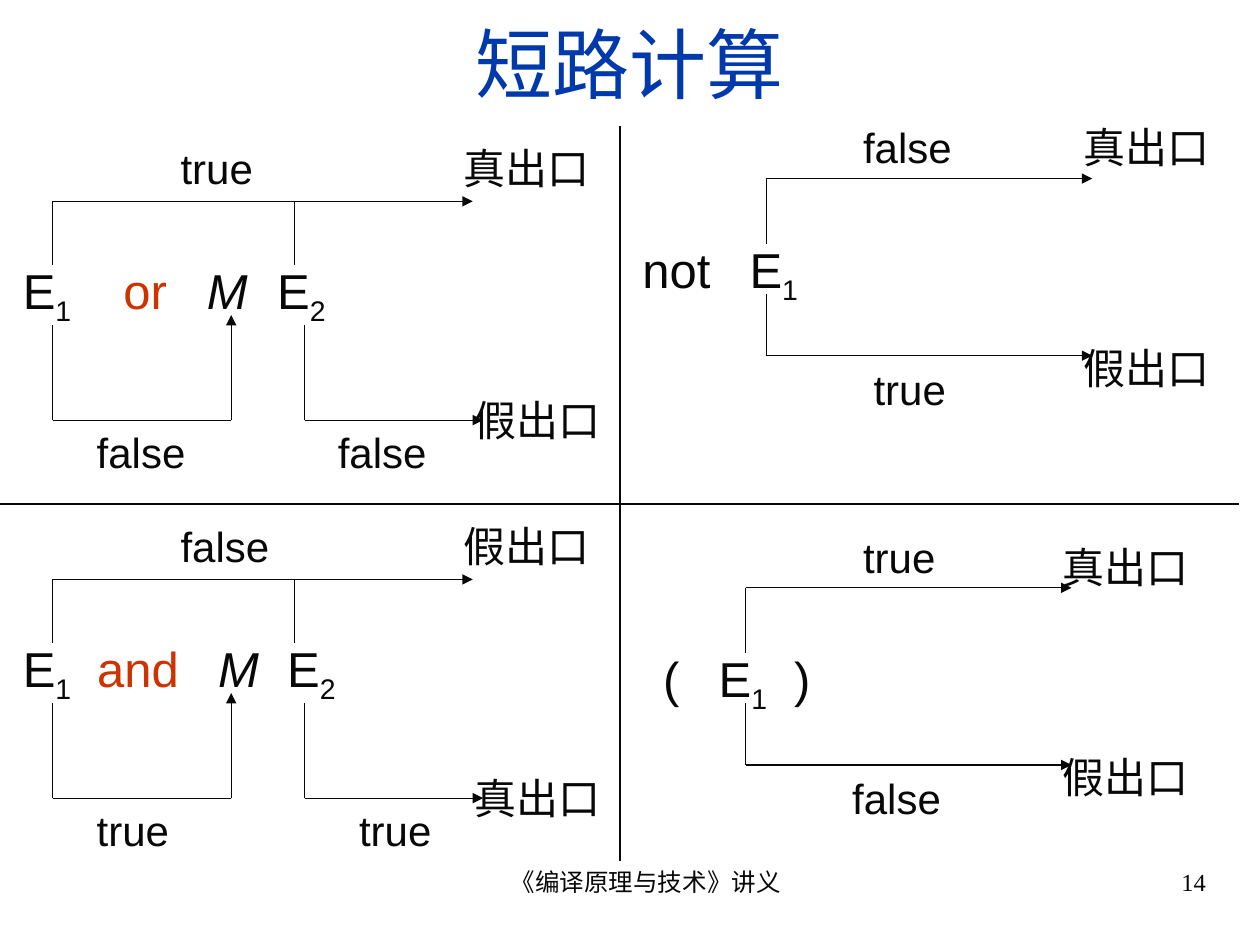
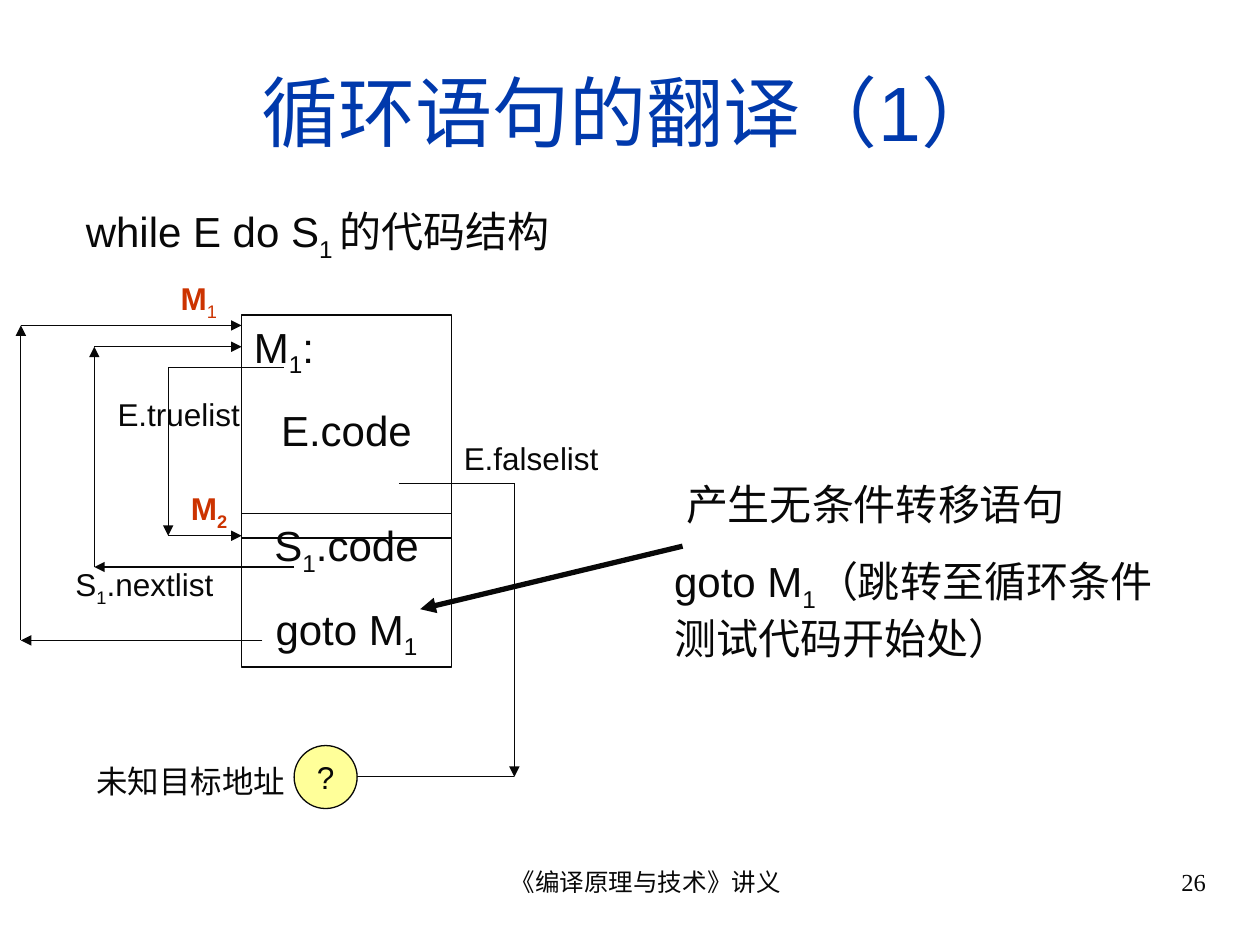
from lxml import etree
from pptx import Presentation
from pptx.dml.color import RGBColor
from pptx.enum.shapes import MSO_CONNECTOR, MSO_SHAPE
from pptx.enum.text import MSO_ANCHOR, PP_ALIGN
from pptx.oxml.ns import qn
from pptx.util import Cm, Pt

LEFT, CENTER, RIGHT = PP_ALIGN.LEFT, PP_ALIGN.CENTER, PP_ALIGN.RIGHT
TOP, MIDDLE = MSO_ANCHOR.TOP, MSO_ANCHOR.MIDDLE
RECT, OVAL = MSO_SHAPE.RECTANGLE, MSO_SHAPE.OVAL
STRAIGHT = MSO_CONNECTOR.STRAIGHT
INK, BLUE, RED, YELLOW = "080808", "0039AC", "CC3300", "FFFF99"
rgb = RGBColor.from_string


# Runs are split by "|": "_" marks a subscript, "*" red text, "/" italics.
def text(s, content, x, y, w, h, size=24, color=INK, font="Arial", bold=None,
         aligns=(LEFT,), anchor=TOP, wrap=True, inset=0.25, tabs=(),
         indent=0, shape=None, fill=None):
    box = Cm(x), Cm(y), Cm(w), Cm(h)
    if shape is None:
        sp = s.shapes.add_textbox(*box)
    else:
        sp = s.shapes.add_shape(shape, *box)
        sp.shadow.inherit = False
        sp.line.color.rgb = rgb(INK)
        sp.line.width = Pt(0.75)
        if fill:
            sp.fill.solid()
            sp.fill.fore_color.rgb = rgb(fill)
        else:
            sp.fill.background()
    tf = sp.text_frame
    tf.word_wrap = wrap
    tf.vertical_anchor = anchor
    tf.margin_left = Cm(inset)
    for i, line_text in enumerate(content.split("\n")):
        p = tf.add_paragraph() if i else tf.paragraphs[0]
        p.alignment = aligns[min(i, len(aligns) - 1)]
        pPr = p._p.get_or_add_pPr()
        if i:
            p.space_before = Pt(15)
        elif indent:
            pPr.set("indent", str(Cm(indent)))
        if tabs:
            tab_list = etree.SubElement(pPr, qn("a:tabLst"))
            for pos in tabs:
                etree.SubElement(tab_list, qn("a:tab"), pos=str(Cm(pos)), algn="l")
        for part in line_text.split("|"):
            mark = part[0] if part[0] in "_*/" else ""
            r = p.add_run()
            r.text = part[len(mark):]
            r.font.name = font
            r.font.size = Pt(size)
            r.font.bold = bold
            r.font.color.rgb = rgb(RED if mark == "*" else color)
            if mark == "/":
                r.font.italic = True
            if mark == "_":
                r._r.get_or_add_rPr().set("baseline", "-25000")
    return tf


def route(s, points, plain=None, width=0.75):
    if plain is None:
        plain = len(points) - 2
    for i, (start, end) in enumerate(zip(points, points[1:])):
        c = s.shapes.add_connector(STRAIGHT, *map(Cm, start + end))
        c.line.color.rgb = rgb(INK)
        c.line.width = Pt(width)
        if i >= plain:
            etree.SubElement(c.line._get_or_add_ln(), qn("a:tailEnd"), type="triangle")
        etree.SubElement(c._element.spPr, qn("a:effectLst"))


prs = Presentation()
prs.slide_width, prs.slide_height = Cm(25.4), Cm(19.05)

slides = []
for title, y, h, number in [("短路计算", 0.2, 2.11, "14"),
                            ("循环语句的翻译（1）", 0.64, 3.18, "26")]:
    s = prs.slides.add_slide(prs.slide_layouts[6])
    text(s, title, 0.84, y, 23.72, h, size=44, color=BLUE, aligns=(CENTER,), anchor=MIDDLE)
    text(s, "《编译原理与技术》讲义", 8.69, 17.35, 8.05, 1.32, size=14,
         font="Times New Roman", aligns=(CENTER,), inset=0.86)
    text(s, number, 18.21, 17.35, 6.35, 1.32, size=14,
         font="Times New Roman", aligns=(RIGHT,))
    slides.append(s)

s = slides[0]
route(s, [(0, 10.16), (24.97, 10.16)], plain=1, width=1.5)
route(s, [(12.5, 2.54), (12.5, 17.35)], plain=1, width=1.5)

binary_rules = [
    (0, "*or", (2.03, 3.71, 5.13), "true", "false", 6.56, "真出口", "假出口"),
    (7.62, "*and", (1.5, 3.94, 5.33), "false", "true", 6.99, "假出口", "真出口"),
]
for dy, operator, tabs, upper, lower, lower_x, upper_exit, lower_exit in binary_rules:
    text(s, f"E|_1|\t|{operator}|\t|/M|\tE|_2", 0.21, 5.13 + dy, 8.68, 1.6, size=28, tabs=tabs)
    route(s, [(1.06, 5.34 + dy), (1.06, 4.06 + dy), (9.53, 4.06 + dy)])
    route(s, [(5.93, 5.34 + dy), (5.93, 4.06 + dy)], plain=1)
    route(s, [(1.06, 6.56 + dy), (1.06, 8.47 + dy), (4.66, 8.47 + dy), (4.66, 6.35 + dy)])
    route(s, [(6.14, 6.56 + dy), (6.14, 8.47 + dy), (9.74, 8.47 + dy)])
    for label, x, y, w in [(upper, 3.39, 2.75, 2.33), (lower, 1.7, 8.47, 2.33),
                           (lower, lower_x, 8.47, 2.33),
                           (upper_exit, 9.1, 2.75, 3.18), (lower_exit, 9.31, 7.83, 3.18)]:
        text(s, label, x, y + dy, w, 1.27)

unary_rules = [
    ("not|\tE|_1", (2.16,), 12.7, 4.7, 15.45, 3.6,
     [("false", 17.15, 2.33), ("true", 17.36, 7.2)],
     [("真出口", 21.59, 2.33), ("假出口", 21.59, 6.77)]),
    ("(|\tE|_1|\t)", (1.12, 2.64), 13.12, 12.95, 15.03, 11.85,
     [("true", 17.15, 10.58), ("false", 16.93, 15.45)],
     [("真出口", 21.17, 10.8), ("假出口", 21.17, 15.03)]),
]
for formula, tabs, x, y, stem_x, top_y, labels, exits in unary_rules:
    text(s, formula, x, y, 8.68, 1.6, size=28, tabs=tabs)
    for near, far in [(1.31, 0), (2.33, 3.57)]:
        route(s, [(stem_x, top_y + near), (stem_x, top_y + far), (stem_x + 6.57, top_y + far)])
    for w, items in [(2.33, labels), (3.18, exits)]:
        for label, label_x, label_y in items:
            text(s, label, label_x, label_y, w, 1.27)

s = slides[1]
text(s, "M|_1|:\nE.code", 4.87, 6.35, 4.23, 4.5, aligns=(LEFT, CENTER), shape=RECT)
text(s, "S|_1|.code\ngoto M|_1", 4.87, 10.35, 4.23, 3.1, aligns=(CENTER,), shape=RECT)
text(s, "while E do S|_1 |的代码结构", 1.48, 4.02, 10.8, 1.42)

route(s, [(5.72, 7.41), (3.39, 7.41), (3.39, 10.8), (4.87, 10.8)], plain=1)
route(s, [(8.04, 9.74), (10.37, 9.74), (10.37, 15.66), (6.99, 15.66)], plain=1)
route(s, [(5.93, 11.43), (1.9, 11.43), (1.9, 6.99), (4.87, 6.99)], plain=0)
route(s, [(5.29, 12.91), (0.42, 12.91), (0.42, 6.56), (4.87, 6.56)], plain=0)
route(s, [(13.76, 11.01), (8.47, 12.28)], width=3)

for label, x, y, w in [("E.truelist", 2.12, 7.83, 3.6), ("E.falselist", 9.1, 8.72, 4.23),
                       ("S|_1|.nextlist", 1.27, 11.26, 3.6),
                       ("未知目标地址", 1.69, 15.24, 4.87)]:
    text(s, label, x, y, w, 1.06, size=18)
text(s, "M|_2", 3.6, 9.74, 1.7, 1.11, size=18, color=RED, bold=True)
tf = text(s, "M|_1", 3.39, 5.5, 1.7, 1.11, size=18, color=RED, bold=True)
tf.paragraphs[0].runs[1].font.bold = False
text(s, "?", 5.93, 15.03, 1.27, 1.27, size=18, aligns=(CENTER,), anchor=MIDDLE,
     wrap=False, shape=OVAL, fill=YELLOW)
text(s, "产生无条件转移语句\ngoto M|_1|（跳转至循环条件测试代码开始处）",
     13.34, 9.53, 10.8, 3.99, indent=0.24)

prs.save("out.pptx")
